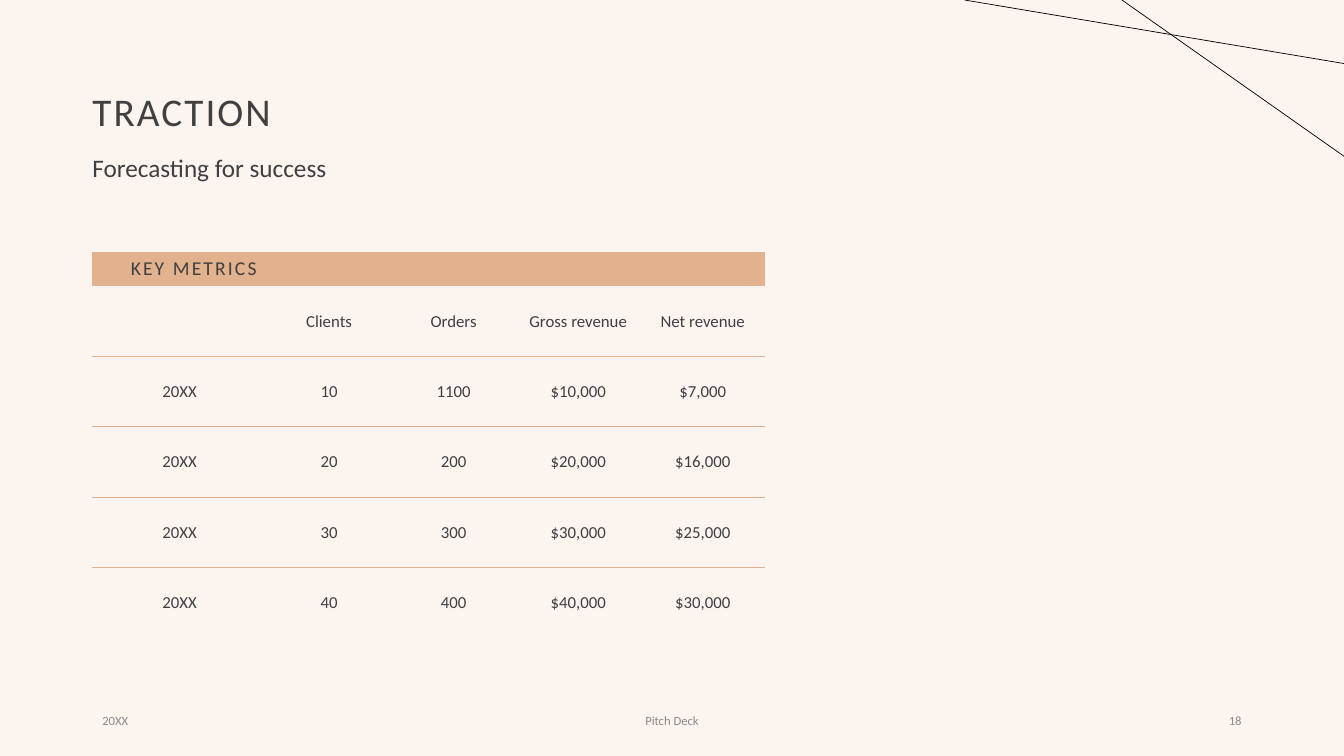
"""Build the traction slide with its key metrics table."""
from lxml.etree import SubElement
from pptx import Presentation
from pptx.dml.color import RGBColor
from pptx.enum.shapes import MSO_CONNECTOR
from pptx.enum.text import MSO_ANCHOR as ANCHOR, MSO_AUTO_SIZE as AUTO, PP_ALIGN as ALIGN
from pptx.oxml import parse_xml
from pptx.oxml.ns import nsdecls, qn
from pptx.util import Pt

CREAM = RGBColor(0xFB, 0xF4, 0xEF)
TAN = RGBColor(0xE2, 0xB1, 0x8D)
DARK = RGBColor(0x40, 0x40, 0x40)
GRAY = RGBColor(0x8C, 0x8C, 0x8C)
BLACK = RGBColor(0, 0, 0)
NO_STYLE = "{2D5ABB26-0587-4C30-8999-92F81FD0307C}"


def write(tf, text, size=12, color=DARK, align=ALIGN.LEFT, spacing=0, line=None, before=None):
    p = tf.paragraphs[0]
    p.alignment = align
    p.line_spacing = line
    p.space_before = before
    if not text:
        SubElement(p._p, qn("a:endParaRPr"), sz=str(size * 100))
        return p
    r = p.add_run()
    r.text = text
    r.font.name = "Calibri"
    r.font.size = Pt(size)
    r.font.color.rgb = color
    r._r.get_or_add_rPr().set("spc", str(int(spacing * 100)))
    return p


prs = Presentation()
prs.slide_width, prs.slide_height = Pt(960), Pt(540)
s = prs.slides.add_slide(prs.slide_layouts[1])
s.background.fill.solid()
s.background.fill.fore_color.rgb = CREAM

title, body = s.shapes.title, s.placeholders[1]
for sp, box in ((title, (66, 28.8, 828, 104.4)), (body, (58.8, 107.3, 532.8, 38.9))):
    sp.left, sp.top, sp.width, sp.height = map(Pt, box)
    sp.text_frame.word_wrap = True
    sp.text_frame.auto_size = AUTO.NONE

title.text_frame.margin_left = 0
title.text_frame.vertical_anchor = ANCHOR.MIDDLE
write(title.text_frame, "TRACTION", size=28, spacing=1.5, line=0.9)

body.text_frame.vertical_anchor = ANCHOR.TOP
p = write(body.text_frame, "Forecasting for success", size=18, line=0.9, before=Pt(10))
pPr = p._p.get_or_add_pPr()
pPr.set("marL", "0")
pPr.set("indent", "0")
SubElement(pPr, qn("a:buNone"))

metrics = [
    ["KEY METRICS", "", "", "", ""],
    ["", "Clients", "Orders", "Gross revenue", "Net revenue"],
    ["20XX", "10", "1100", "$10,000", "$7,000"],
    ["20XX", "20", "200", "$20,000", "$16,000"],
    ["20XX", "30", "300", "$30,000", "$25,000"],
    ["20XX", "40", "400", "$40,000", "$30,000"],
]
frame = s.shapes.add_table(6, 5, Pt(66), Pt(180), Pt(480.6), Pt(275.8))
table = frame.table
table.first_row = table.horz_banding = False
table._tbl.tblPr.find(qn("a:tableStyleId")).text = NO_STYLE
for i, col in enumerate(table.columns):
    col.width = Pt(89 if i else 124.6)
for i, row in enumerate(table.rows):
    row.height = Pt(50.28 if i else 24.4)

for i, values in enumerate(metrics):
    for j, text in enumerate(values):
        cell = table.cell(i, j)
        cell.vertical_anchor = ANCHOR.MIDDLE
        if i == 0:
            cell.fill.solid()
            cell.fill.fore_color.rgb = TAN
            write(cell.text_frame, text, size=14, align=ALIGN.RIGHT, spacing=1.5)
            continue
        cell.fill.background()
        write(cell.text_frame, text, align=ALIGN.CENTER)
        if i < len(metrics) - 1:
            cell._tc.get_or_add_tcPr().insert(0, parse_xml(
                f'<a:lnB {nsdecls("a")} w="{Pt(1)}"><a:solidFill>'
                f'<a:srgbClr val="{TAN}"/></a:solidFill></a:lnB>'))

footers = [
    ("20XX", 66, 216, ALIGN.LEFT),
    ("Pitch Deck", 318, 324, ALIGN.CENTER),
    ("18", 678, 216, ALIGN.RIGHT),
]
for text, left, width, align in footers:
    tf = s.shapes.add_textbox(Pt(left), Pt(500.4), Pt(width), Pt(28.8)).text_frame
    tf.word_wrap = True
    tf.vertical_anchor = ANCHOR.MIDDLE
    write(tf, text, size=9, color=GRAY, align=align)

for start, end in ((801.4, 111.6), (689, 45.4)):
    line = s.shapes.add_connector(MSO_CONNECTOR.STRAIGHT, Pt(start), 0, Pt(960), Pt(end))
    line.line.color.rgb = BLACK
    line.line.width = Pt(0.5)
    SubElement(line._element.spPr, qn("a:effectLst"))

prs.save("out.pptx")
